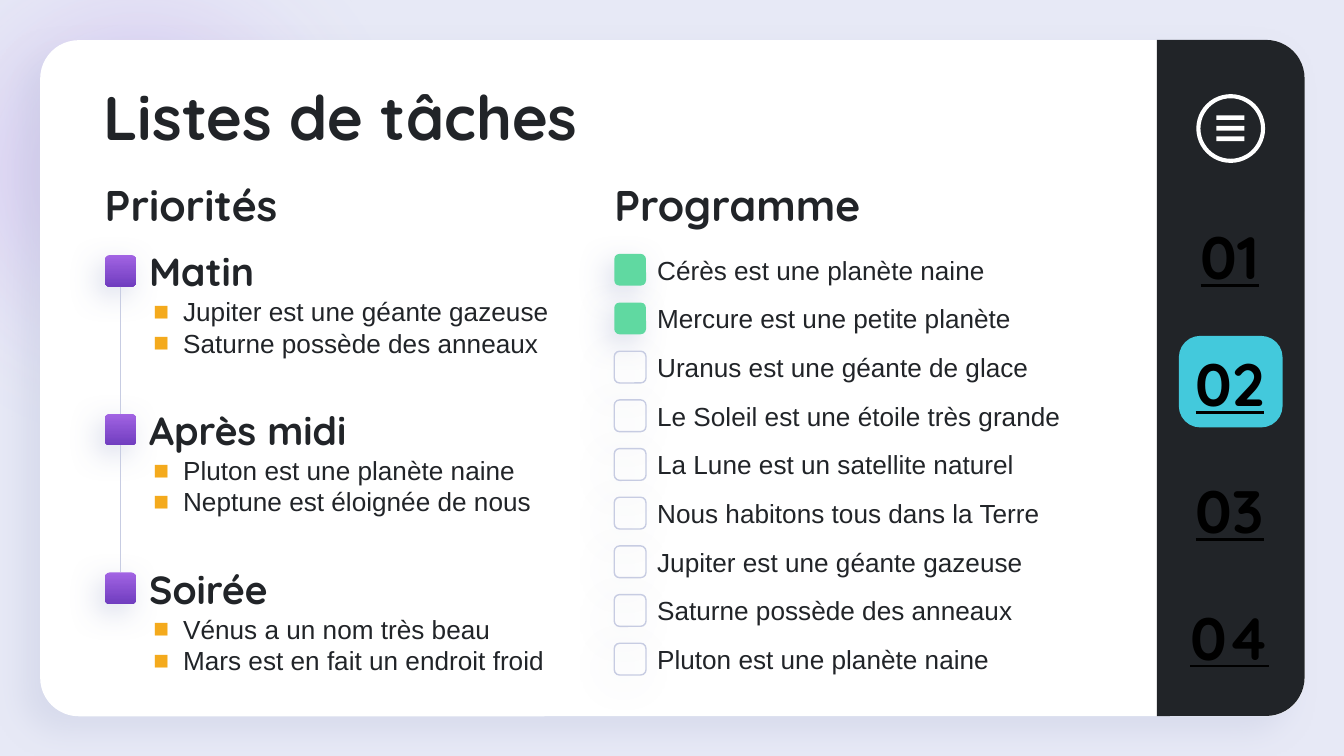
import pptx
import pptx.dml.color
import pptx.enum.shapes
import pptx.enum.text
import pptx.oxml
import pptx.oxml.ns
import pptx.util

Cm, Pt = pptx.util.Cm, pptx.util.Pt
Kind = pptx.enum.shapes.MSO_SHAPE
Align = pptx.enum.text.PP_ALIGN
Anchor = pptx.enum.text.MSO_ANCHOR
qn = pptx.oxml.ns.qn
NS = pptx.oxml.ns.nsdecls("a")


def color(code):
    return pptx.dml.color.RGBColor.from_string(code)


class Deck:
    head, body = "Quicksand", "Arial"
    ink, white, pale, rule = "212428", "FFFFFF", "E7E9F6", "C7CCE2"
    violet, plum, amber = "A264E3", "703DBF", "F4AA1D"
    green, cyan, black = "60D9A1", "43C9DC", "000000"

    def __init__(self):
        self.prs = pptx.Presentation()
        self.prs.slide_width, self.prs.slide_height = Cm(25.4), Cm(14.29)
        # The comparison layout has a title and four body placeholders
        self.slide = self.prs.slides.add_slide(self.prs.slide_layouts[4])
        self.shapes = self.slide.shapes
        self.spare = list(self.slide.placeholders)[1:]
        fill = self.slide.background.fill
        fill.solid()
        fill.fore_color.rgb = color(self.pale)

    def shape(self, kind, x, y, w, h, fill=None, line=None, adj=(), shade=None):
        item = self.shapes.add_shape(kind, Cm(x), Cm(y), Cm(w), Cm(h))
        for i, value in enumerate(adj):
            item.adjustments[i] = value
        if fill:
            item.fill.solid()
            item.fill.fore_color.rgb = color(fill)
        else:
            item.fill.background()
        if line:
            item.line.color.rgb = color(line)
            item.line.width = Pt(0.75)
        else:
            item.line.fill.background()
        item.shadow.inherit = False
        if shade:
            alpha, blur, dist, angle = shade
            item.element.spPr.find(qn("a:effectLst")).append(pptx.oxml.parse_xml(
                f'<a:outerShdw {NS} blurRad="{Pt(blur)}" dist="{Pt(dist)}" '
                f'dir="{angle * 60000}" algn="bl" rotWithShape="0">'
                f'<a:srgbClr val="{self.rule}"><a:alpha val="{alpha * 1000}"/>'
                '</a:srgbClr></a:outerShdw>'))
        return item

    def glow(self, x, y, size):
        item = self.shape(Kind.OVAL, x, y, size, size)
        item.fill.gradient()
        stops = "".join(
            f'<a:gs pos="{pos * 1000}"><a:srgbClr val="{code}">'
            f'<a:alpha val="{alpha * 1000}"/></a:srgbClr></a:gs>'
            for pos, code, alpha in
            [(0, self.violet, 49), (62, self.pale, 0), (100, self.white, 0)])
        old = item.element.spPr.find(qn("a:gradFill"))
        old.getparent().replace(old, pptx.oxml.parse_xml(
            f'<a:gradFill {NS}><a:gsLst>{stops}</a:gsLst><a:path path="circle">'
            '<a:fillToRect l="50000" t="50000" r="50000" b="50000"/>'
            '</a:path></a:gradFill>'))

    def box(self, x, y, fill=None, line=None):
        return self.shape(Kind.ROUNDED_RECTANGLE, x, y, 0.6, 0.6, fill, line,
                          [0.167], (63, 15.8, 6, 128))

    def marker(self, x, y):
        item = self.box(x, y, self.violet)
        item.fill.gradient()
        item.fill.gradient_angle = 270
        for stop, code in zip(item.fill.gradient_stops, (self.violet, self.plum)):
            stop.color.rgb = color(code)
        return item

    def link(self, top, low):
        wire = self.shapes.add_connector(
            pptx.enum.shapes.MSO_CONNECTOR.STRAIGHT, 0, 0, 0, 0)
        wire.begin_connect(top, 2)
        wire.end_connect(low, 0)
        wire.line.color.rgb = color(self.rule)
        wire.line.width = Pt(0.75)
        wire.element.spPr.append(pptx.oxml.parse_xml(f"<a:effectLst {NS}/>"))

    def style(self, item, size, font, bold=False, code=None, align=Align.LEFT,
              anchor=Anchor.TOP, left=0, base=0):
        frame = item.text_frame
        frame.word_wrap = True
        frame.auto_size = pptx.enum.text.MSO_AUTO_SIZE.NONE
        frame.vertical_anchor = anchor
        frame.margin_left, frame.margin_right = Cm(left), Cm(0.25)
        frame.margin_top, frame.margin_bottom = 0, Cm(base)
        for para in frame.paragraphs:
            para.alignment = align
            para.space_before = Pt(0)
            for run in para.runs:
                run.font.size, run.font.name, run.font.bold = Pt(size), font, bold
                run.font.color.rgb = color(code or self.ink)

    def text(self, words, x, y, w, h, size, font, **more):
        item = self.shapes.add_textbox(Cm(x), Cm(y), Cm(w), Cm(h))
        item.text_frame.text = words
        self.style(item, size, font, **more)
        return item

    def place(self, item, words, x, y, w, h):
        # Bring the placeholder in front of the card
        item.element.getparent().append(item.element)
        item.left, item.top, item.width, item.height = Cm(x), Cm(y), Cm(w), Cm(h)
        item.text_frame.text = words

    def title(self, words, x, y, w, h):
        item = self.shapes.title
        self.place(item, words, x, y, w, h)
        self.style(item, 33, self.head, bold=True, left=0.25, base=0.25)

    def bullets(self, lines, x, y, w, h):
        item = self.spare.pop(0)
        self.place(item, "\n".join(lines), x, y, w, h)
        for para in item.text_frame.paragraphs:
            props = para._p.get_or_add_pPr()
            props.set("marL", str(Cm(0.64)))
            props.set("indent", str(Cm(-0.56)))
            for mark in (f'<a:buClr {NS}><a:srgbClr val="{self.amber}"/></a:buClr>',
                         f'<a:buFont {NS} typeface="{self.body}"/>',
                         f'<a:buChar {NS} char="■"/>'):
                props.append(pptx.oxml.parse_xml(mark))
        self.style(item, 14, self.body)

    def save(self):
        for item in self.spare:
            item.element.getparent().remove(item.element)
        self.prs.save("out.pptx")


def main():
    deck = Deck()

    # Backdrop: glow, card and dark sidebar
    deck.glow(-3.3, -2.64, 11.84)
    deck.shape(Kind.ROUNDED_RECTANGLE, 0.76, 0.76, 23.9, 12.78, deck.white,
               adj=[0.057], shade=(47, 16.9, 12, 137))
    side = deck.shape(Kind.ROUND_2_SAME_RECTANGLE, 16.87, 5.75, 12.78, 2.79,
                      deck.ink, adj=[0.261, 0])
    side.rotation = 90

    # Menu icon
    deck.shape(Kind.DONUT, 22.61, 1.78, 1.3, 1.3, deck.white, adj=[0.06])
    for i in range(3):
        deck.shape(Kind.RECTANGLE, 22.99, 2.18 + 0.2 * i, 0.53, 0.09, deck.white)

    # Title and column headings
    deck.title("Listes de tâches", 1.7, 1.5, 18.92, 1.32)
    for words, x in (("Priorités", 1.98), ("Programme", 11.61)):
        deck.text(words, x, 3.38, 9.1, 0.97, 23, deck.head, bold=True)

    # Priorities by time of day
    times = [
        ("Matin", ["Jupiter est une géante gazeuse", "Saturne possède des anneaux"]),
        ("Après midi", ["Pluton est une planète naine", "Neptune est éloignée de nous"]),
        ("Soirée", ["Vénus a un nom très beau", "Mars est en fait un endroit froid"]),
    ]
    last = None
    for i, (name, lines) in enumerate(times):
        y = 4.82 + 3 * i
        mark = deck.marker(1.98, y)
        deck.text(name, 2.82, y - 0.14, 8.23, 0.89, 21, deck.head, bold=True)
        deck.bullets(lines, 2.82, y + 0.77, 8.23, 1.19)
        if last:
            deck.link(last, mark)
        last = mark

    # Checklist: the first two tasks are done
    tasks = ["Cérès est une planète naine", "Mercure est une petite planète",
             "Uranus est une géante de glace", "Le Soleil est une étoile très grande",
             "La Lune est un satellite naturel", "Nous habitons tous dans la Terre",
             "Jupiter est une géante gazeuse", "Saturne possède des anneaux",
             "Pluton est une planète naine"]
    for i, task in enumerate(tasks):
        y = 4.8 + 0.92 * i
        deck.text(task, 12.42, y, 8.38, 0.61, 14, deck.body)
        if i < 2:
            deck.box(11.61, y, fill=deck.green)
        else:
            deck.box(11.61, y, line=deck.rule)

    # Section numbers, the second one active
    deck.shape(Kind.ROUNDED_RECTANGLE, 22.28, 6.35, 1.96, 1.73, deck.cyan, adj=[0.234])
    for i in range(4):
        item = deck.text(f"{i + 1:02}", 22.23, 4.14 + 2.4 * i, 2.03, 1.37, 32,
                         deck.head, bold=True, code=deck.black, left=0.25,
                         align=Align.CENTER, anchor=Anchor.MIDDLE)
        item.text_frame.paragraphs[0].runs[0].font.underline = True

    deck.save()


if __name__ == "__main__":
    main()
